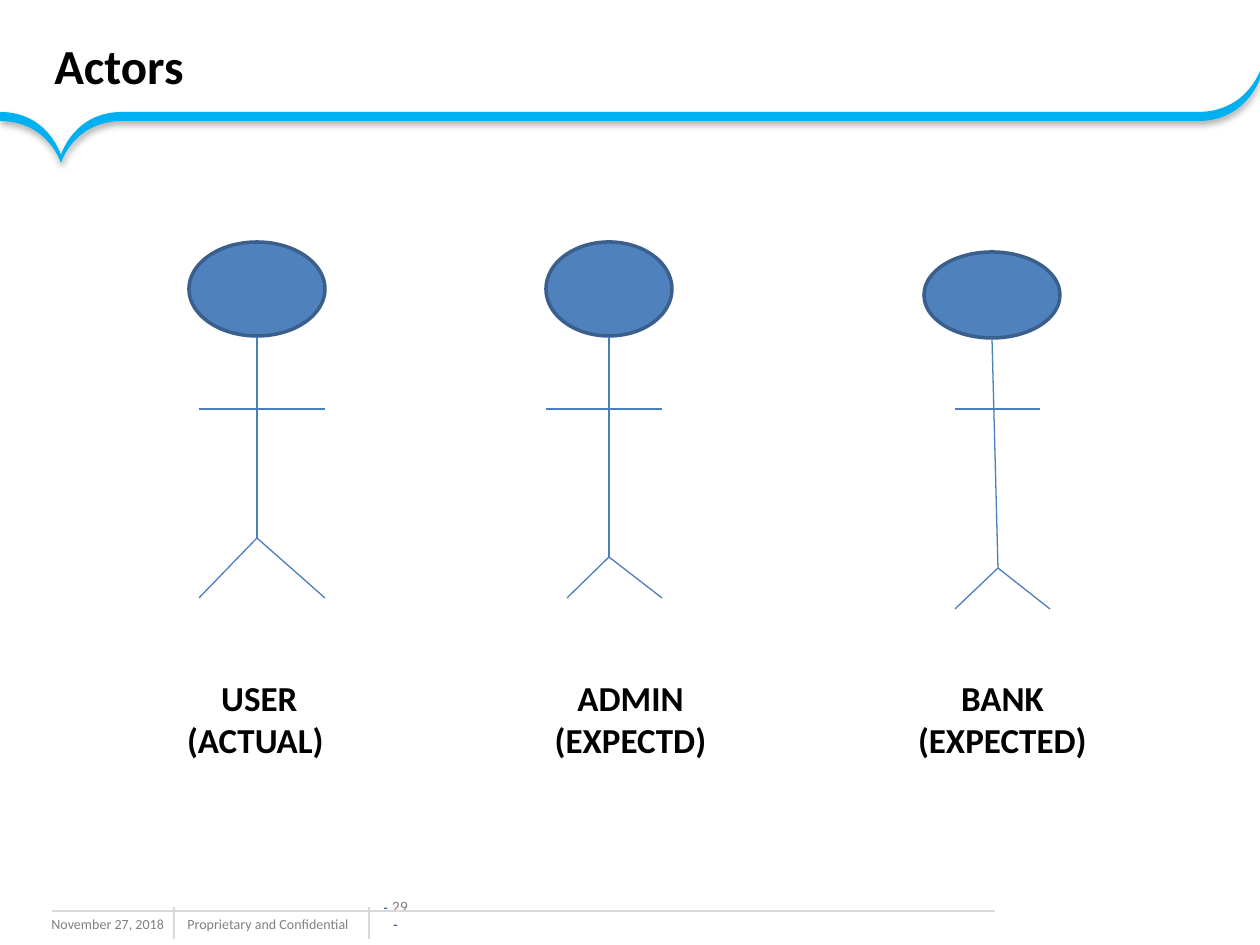
"""Build the Actors slide with three stick figures."""
from lxml import etree
from pptx import Presentation
from pptx.dml.color import RGBColor
from pptx.enum.shapes import MSO_CONNECTOR as Connector, MSO_SHAPE as Shape
from pptx.enum.text import MSO_ANCHOR as Anchor, PP_ALIGN as Align
from pptx.oxml.ns import qn
from pptx.util import Pt

SCALE = 914400 / 126
BLACK, GREY, NAVY = "000000", "808080", "1F497D"
RULE, LIMB, HEAD, HEAD_EDGE, BAND = "D9D9D9", "4B7EBC", "4F81BD", "3A5F8C", "00B0F0"

FOOTERS = [
    ((39, 909, 168, 31), "November 27, 2018"),
    ((175, 909, 198, 30), "Proprietary and Confidential"),
]
PAGE_NUMBER = [("- ", 8, NAVY, "Arial"), ("29 ", 9, GREY, "Calibri"), ("-", 8, NAVY, "Arial")]
FOOTER_RULES = [(174, 907, 174, 939), (369, 907, 369, 939), (995, 911, 52, 911)]
BAND_START = (1198, 112)
BAND_CURVES = [
    ((122, 112), (122, 112), (122, 112)),
    ((74, 112), (61, 155), (61, 155)),
    ((61, 155), (48, 112), (0, 112)),
    ((0, 121), (0, 121), (0, 121)),
    ((48, 121), (61, 163), (61, 163)),
    ((61, 163), (74, 121), (122, 121)),
    ((1198, 121), (1198, 121), (1198, 121)),
    ((1246, 121), (1260, 79), (1260, 79)),
    ((1260, 71), (1260, 71), (1260, 71)),
    ((1260, 71), (1246, 112), (1198, 112)),
]
ACTORS = [
    {"head": (189, 242, 136, 94), "neck": (257, 337), "hip": (257, 538),
     "arms": (199, 325, 409), "feet": (199, 325, 598),
     "label": (166, 670, 179, 136), "lines": (" USER", "(ACTUAL)")},
    {"head": (546, 242, 126, 94), "neck": (609, 337), "hip": (609, 557),
     "arms": (546, 662, 409), "feet": (567, 662, 598),
     "label": (520, 670, 221, 97), "lines": ("ADMIN", "(EXPECTD)")},
    {"head": (924, 252, 136, 86), "neck": (992, 338), "hip": (998, 568),
     "arms": (955, 1040, 409), "feet": (955, 1050, 609),
     "label": (903, 670, 199, 97), "lines": ("BANK", "(EXPECTED)")},
]


def px(*values):
    return [round(value * SCALE) for value in values]


def color(code):
    return RGBColor.from_string(code)


def add_text(page, place, paras, align=Align.LEFT, anchor=Anchor.TOP, bold=False, inset=None):
    frame = page.shapes.add_textbox(*px(*place)).text_frame
    frame.word_wrap = True
    frame.vertical_anchor = anchor
    if inset is not None:
        frame.margin_left = frame.margin_right = frame.margin_top = frame.margin_bottom = inset
    for index, spans in enumerate(paras):
        para = frame.add_paragraph() if index else frame.paragraphs[0]
        para.alignment = align
        for text, size, code, font in spans:
            span = para.add_run()
            span.text = text
            span.font.size, span.font.name, span.font.bold = Pt(size), font, bold
            span.font.color.rgb = color(code)


def add_line(page, ends, code):
    line = page.shapes.add_connector(Connector.STRAIGHT, *px(*ends))
    line.line.color.rgb = color(code)
    line.line.width = Pt(0.75)
    etree.SubElement(line._element.spPr, qn("a:effectLst"))


def add_band(page):
    builder = page.shapes.build_freeform(*px(*BAND_START))
    builder.add_line_segments([tuple(px(*curve[-1])) for curve in BAND_CURVES], close=True)
    band = builder.convert_to_shape()
    for segment, curve in zip(list(band._element.iter(qn("a:lnTo"))), BAND_CURVES):
        bend = etree.Element(qn("a:cubicBezTo"))
        for point in curve:
            x, y = px(*point)
            etree.SubElement(bend, qn("a:pt"), x=str(x - band.left), y=str(y - band.top))
        segment.getparent().replace(segment, bend)
    band.fill.solid()
    band.fill.fore_color.rgb = color(BAND)
    band.line.fill.background()
    effects = etree.SubElement(band._element.spPr, qn("a:effectLst"))
    shadow = etree.SubElement(effects, qn("a:outerShdw"), blurRad=str(Pt(4)), dist=str(Pt(2)),
                              dir="5400000", algn="t", rotWithShape="0")
    tint = etree.SubElement(shadow, qn("a:srgbClr"), val=BLACK)
    etree.SubElement(tint, qn("a:alpha"), val="31000")


def add_actor(page, actor):
    head = page.shapes.add_shape(Shape.OVAL, *px(*actor["head"]))
    head.shadow.inherit = False
    head.fill.solid()
    head.fill.fore_color.rgb = color(HEAD)
    head.line.color.rgb = color(HEAD_EDGE)
    head.line.width = Pt(2)
    hip = actor["hip"]
    left, right, shoulder = actor["arms"]
    left_foot, right_foot, floor = actor["feet"]
    for ends in [(*actor["neck"], *hip), (left, shoulder, right, shoulder),
                 (*hip, left_foot, floor), (*hip, right_foot, floor)]:
        add_line(page, ends, LIMB)
    paras = [[(text, 20, BLACK, "Calibri")] for text in actor["lines"]]
    add_text(page, actor["label"], paras, Align.CENTER, bold=True)


def main():
    deck = Presentation()
    deck.slide_width, deck.slide_height = px(1260, 945)
    page = deck.slides.add_slide(deck.slide_layouts[6])
    for place, text in FOOTERS:
        add_text(page, place, [[(text, 8, GREY, "Calibri")]])
    add_text(page, (381, 913, 29, 19), [PAGE_NUMBER], Align.CENTER, Anchor.BOTTOM, inset=0)
    for ends in FOOTER_RULES:
        add_line(page, ends, RULE)
    add_band(page)
    add_text(page, (42, 10, 1134, 110), [[("Actors", 28, BLACK, "Calibri")]],
             anchor=Anchor.MIDDLE, bold=True)
    for actor in ACTORS:
        add_actor(page, actor)
    deck.save("out.pptx")


if __name__ == "__main__":
    main()
